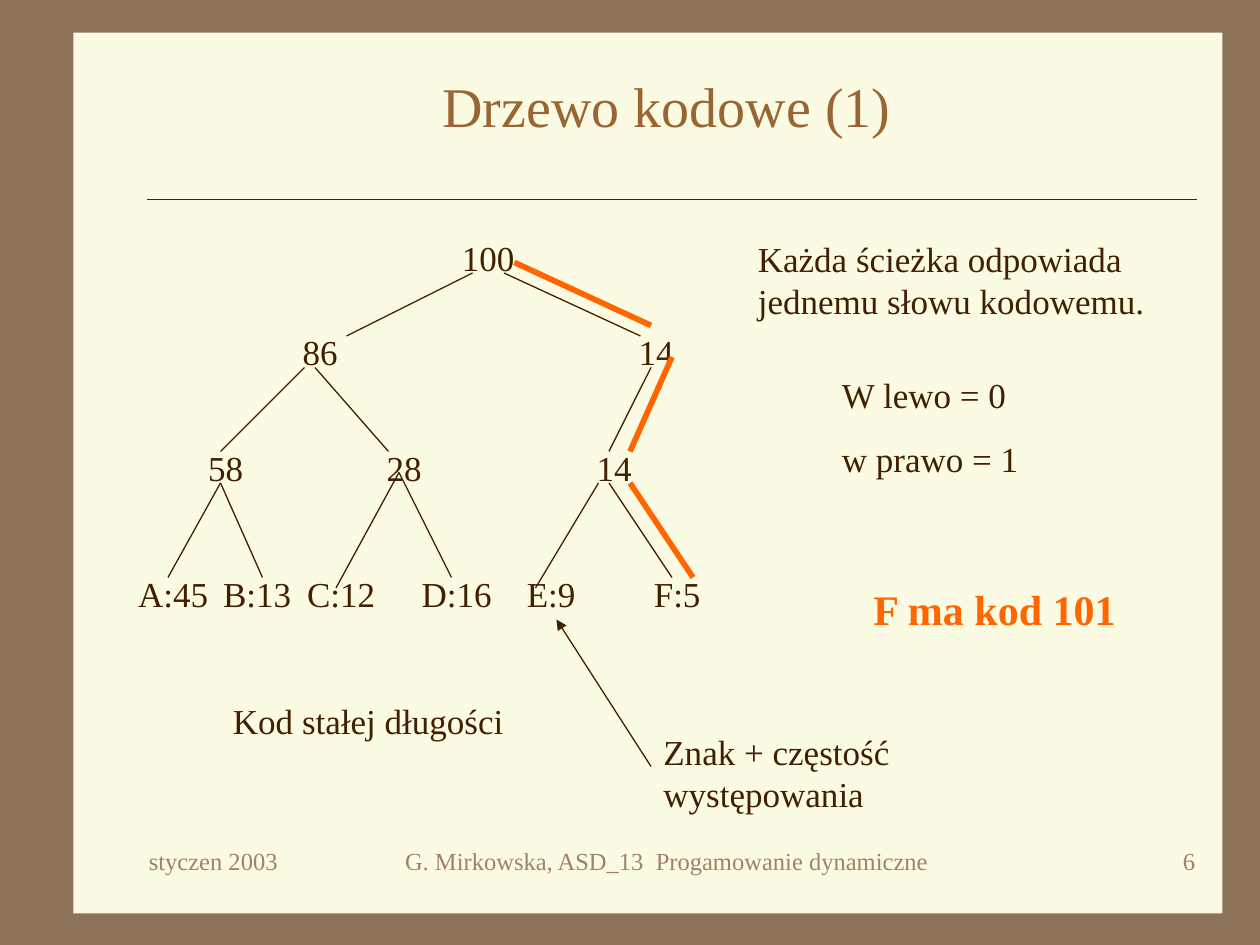
from lxml.etree import SubElement
from pptx import Presentation
from pptx.dml.color import RGBColor
from pptx.enum.shapes import MSO_CONNECTOR as Connector, MSO_SHAPE as Shape
from pptx.enum.text import MSO_ANCHOR as Anchor, PP_ALIGN as Align
from pptx.oxml.ns import qn
from pptx.util import Pt

FRAME, PAPER, INK = "8C735A", "FBFAE2", "402000"
TITLE, ACCENT, MUTED = "996633", "FF6600", "A08366"
BODY = {"name": "Times New Roman", "size": Pt(20), "bold": False}

NODE_WIDTH, NODE_HEIGHT = 66, 30
LEVELS = {
    0: [(180, "100")],
    54: [(84, "86"), (276, "14")],
    120: [(30, "58"), (132, "28"), (252, "14")],
    192: [(0, "A:45"), (48, "B:13"), (96, "C:12"), (162, "D:16"), (216, "E:9"), (288, "F:5")],
}
BRANCHES = [
    (132, 60, 204, 24), (222, 24, 300, 60),
    (108, 78, 60, 126), (114, 78, 156, 126), (306, 78, 282, 126),
    (60, 144, 30, 198), (60, 144, 84, 198),
    (162, 138, 126, 204), (162, 138, 192, 198),
    (276, 144, 240, 204), (282, 144, 318, 198),
]
CODE_PATH = [(228, 18, 306, 54), (294, 126, 318, 72), (294, 144, 330, 198)]


def color(value):
    return RGBColor.from_string(value)


def add_text(page, box, lines, ink=INK, align=Align.LEFT, anchor=Anchor.TOP,
             wrap=True, gap=0, **changes):
    frame = page.shapes.add_textbox(*map(Pt, box)).text_frame
    frame.word_wrap = wrap
    frame.vertical_anchor = anchor
    for index, line in enumerate(lines):
        para = frame.add_paragraph() if index else frame.paragraphs[0]
        para.alignment = align
        if index:
            para.space_before = Pt(gap)
        span = para.add_run()
        span.text = line
        for key, value in {**BODY, **changes}.items():
            setattr(span.font, key, value)
        span.font.color.rgb = color(ink)


def add_line(page, ends, ink=INK, width=0.75, arrow=False):
    line = page.shapes.add_connector(Connector.STRAIGHT, *map(Pt, ends))
    line.line.color.rgb = color(ink)
    line.line.width = Pt(width)
    if arrow:
        SubElement(line.line._get_or_add_ln(), qn("a:tailEnd"), type="triangle")
    SubElement(line._element.spPr, qn("a:effectLst"))


def draw_panel(page, left, top, width, height):
    page.background.fill.solid()
    page.background.fill.fore_color.rgb = color(FRAME)
    panel = page.shapes.add_shape(Shape.RECTANGLE, *map(Pt, (left, top, width, height)))
    panel.shadow.inherit = False
    panel.fill.solid()
    panel.fill.fore_color.rgb = color(PAPER)
    panel.line.fill.background()


def draw_header(page, left, top, width, height):
    add_text(page, (left, top, width, height), ["Drzewo kodowe (1)"], TITLE,
             Align.CENTER, Anchor.MIDDLE, size=Pt(32))
    add_line(page, (left + 6, top + 78, left + width, top + 78))


def draw_tree(page, left, top):
    def shift(ends):
        x1, y1, x2, y2 = ends
        return left + x1, top + y1, left + x2, top + y2

    for y, nodes in LEVELS.items():
        for x, label in nodes:
            add_text(page, (left + x, top + y, NODE_WIDTH, NODE_HEIGHT), [label],
                     align=Align.CENTER, anchor=Anchor.MIDDLE, wrap=False)
    for ends in BRANCHES:
        add_line(page, shift(ends))
    for ends in CODE_PATH:
        add_line(page, shift(ends), ACCENT, 3.25)
    add_line(page, shift((306, 306, 252, 222)), arrow=True)
    add_text(page, (left + 60, top + 264, 240, 32), ["Kod stałej długości"])
    add_text(page, (left + 306, top + 282, 204, 55), ["Znak + częstość występowania"])


def draw_notes(page, left, top, width):
    add_text(page, (left, top, width, 55),
             ["Każda ścieżka odpowiada jednemu słowu kodowemu."])
    add_text(page, (left + 48, top + 78, 180, 68), ["W lewo = 0", "w prawo = 1"], gap=12.5)
    add_text(page, (left + 66, top + 198, 168, 36), ["F ma kod 101"], ACCENT,
             size=Pt(24), bold=True)


def draw_footer(page, left, top, height):
    for x, width, line, align in [
        (0, 150, "styczen 2003", Align.LEFT),
        (144, 318, "G. Mirkowska, ASD_13  Progamowanie dynamiczne", Align.CENTER),
        (462, 150, "6", Align.RIGHT),
    ]:
        add_text(page, (left + x, top, width, height), [line], MUTED, align, size=Pt(14))


def main():
    deck = Presentation()
    deck.slide_width, deck.slide_height = Pt(720), Pt(540)
    page = deck.slides.add_slide(deck.slide_layouts[6])
    draw_panel(page, 42, 18.7, 656.5, 503.3)
    draw_header(page, 78, 36, 606, 48)
    draw_tree(page, 66, 132)
    draw_notes(page, 426, 132, 246)
    draw_footer(page, 78, 480, 36)
    deck.save("out.pptx")


if __name__ == "__main__":
    main()
